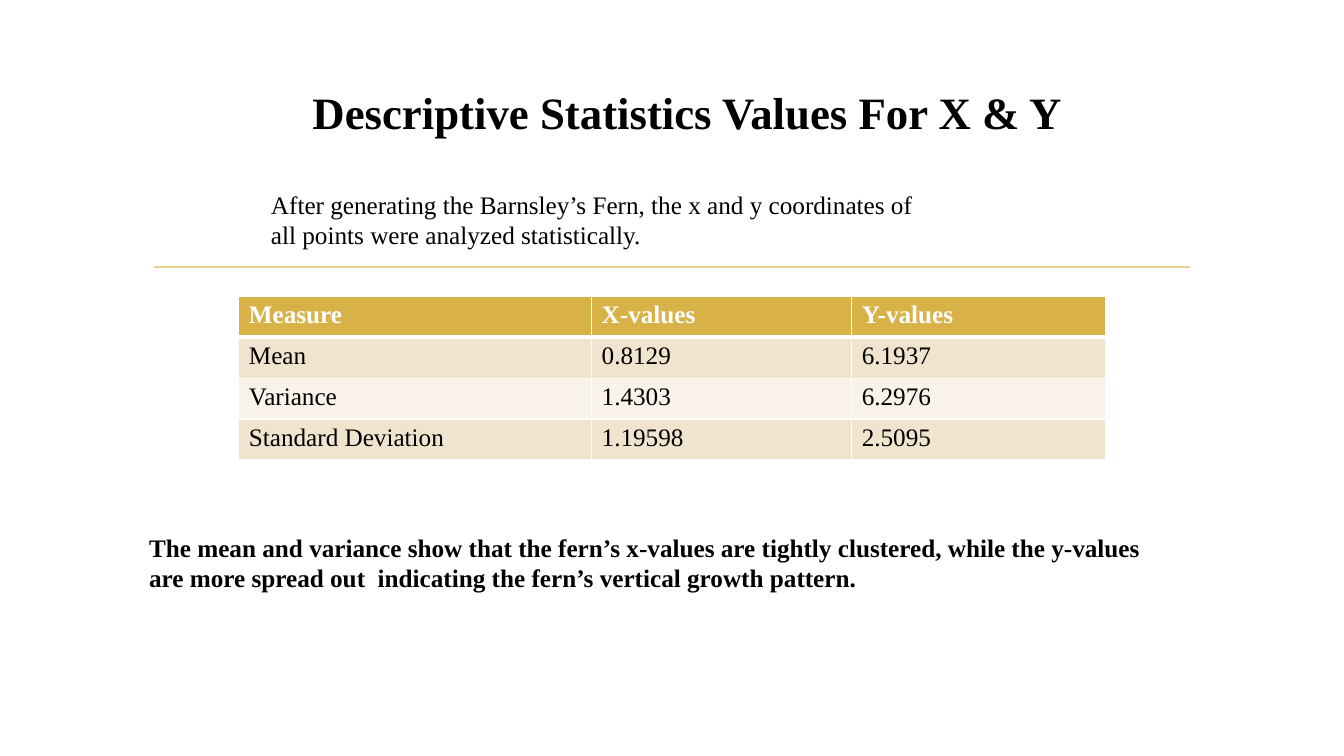
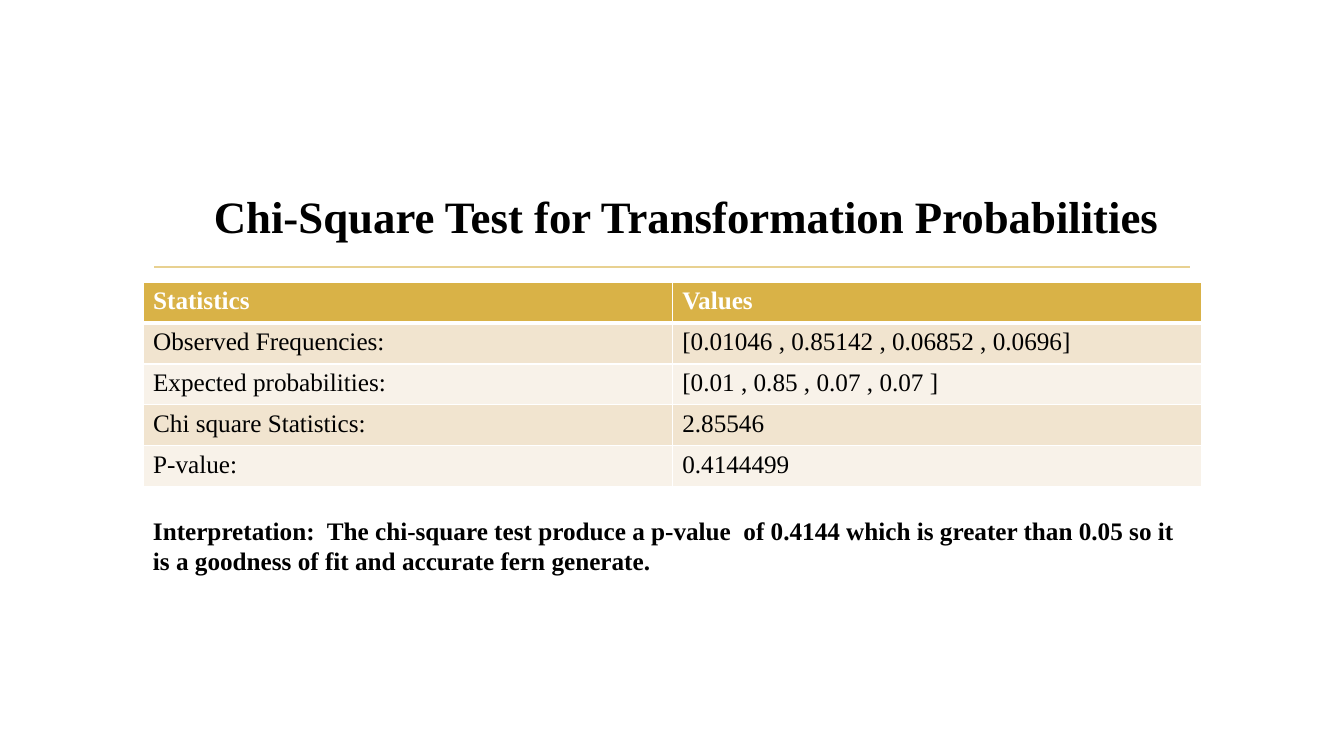
from lxml.etree import SubElement
from pptx import Presentation
from pptx.dml.color import RGBColor
from pptx.enum.shapes import MSO_CONNECTOR
from pptx.enum.text import MSO_ANCHOR, MSO_AUTO_SIZE, PP_ALIGN
from pptx.oxml.ns import qn
from pptx.util import Pt

BLACK = RGBColor(0x00, 0x00, 0x00)
WHITE = RGBColor(0xFF, 0xFF, 0xFF)
GOLD = RGBColor(0xD9, 0xB2, 0x47)
PALE_GOLD = RGBColor(0xE8, 0xD1, 0x91)
BANDS = (RGBColor(0xF1, 0xE4, 0xCF), RGBColor(0xF8, 0xF2, 0xE9))

SLIDE_WIDTH, SLIDE_HEIGHT = 960, 540
RULE_LEFT, RULE_RIGHT, RULE_TOP = 110.2, 850.3, 190.8
TITLE_HEIGHT = 46
ROW_HEIGHT = 29.2
TITLE_ONLY = 5


class Deck:
    """Holds the shared style and the slide being built."""

    title_font = {"name": "Times New Roman", "size": Pt(32), "bold": True}
    body_font = {"name": "Times New Roman", "size": Pt(18), "bold": False}

    def __init__(self):
        self.presentation = Presentation()
        self.presentation.slide_width = Pt(SLIDE_WIDTH)
        self.presentation.slide_height = Pt(SLIDE_HEIGHT)
        self.slide = None

    def set_text(self, text_frame, text, style, color=BLACK, **changes):
        text_frame.text = text
        paragraph = text_frame.paragraphs[0]
        paragraph.alignment = PP_ALIGN.LEFT
        for name, value in {**style, **changes}.items():
            setattr(paragraph.font, name, value)
        paragraph.font.color.rgb = color

    def fit(self, text_frame):
        layout = {
            "word_wrap": True,
            "auto_size": MSO_AUTO_SIZE.SHAPE_TO_FIT_TEXT,
            "vertical_anchor": MSO_ANCHOR.TOP,
        }
        for name, value in layout.items():
            setattr(text_frame, name, value)

    def add_slide(self, title, left, top, width):
        layout = self.presentation.slide_layouts[TITLE_ONLY]
        self.slide = self.presentation.slides.add_slide(layout)
        self.add_rule()
        shape = self.slide.shapes.title
        shape.left, shape.top = Pt(left), Pt(top)
        shape.width, shape.height = Pt(width), Pt(TITLE_HEIGHT)
        self.fit(shape.text_frame)
        self.set_text(shape.text_frame, title, self.title_font)

    def add_rule(self):
        rule = self.slide.shapes.add_connector(
            MSO_CONNECTOR.STRAIGHT,
            Pt(RULE_LEFT), Pt(RULE_TOP), Pt(RULE_RIGHT), Pt(RULE_TOP))
        rule.line.color.rgb = PALE_GOLD
        rule.line.width = Pt(1.25)
        SubElement(rule._element.spPr, qn("a:effectLst"))

    def add_text(self, text, left, top, width, height, bold=False):
        shape = self.slide.shapes.add_textbox(
            Pt(left), Pt(top), Pt(width), Pt(height))
        self.fit(shape.text_frame)
        self.set_text(shape.text_frame, text, self.body_font, bold=bold)

    def add_table(self, rows, left, top, column_widths):
        table = self.slide.shapes.add_table(
            len(rows), len(column_widths), Pt(left), Pt(top),
            Pt(sum(column_widths)), Pt(ROW_HEIGHT * len(rows))).table
        for column, width in zip(table.columns, column_widths):
            column.width = Pt(width)
        for row_index, values in enumerate(rows):
            table.rows[row_index].height = Pt(ROW_HEIGHT)
            header = row_index == 0
            for column_index, value in enumerate(values):
                cell = table.cell(row_index, column_index)
                self.add_borders(cell, top=3 if row_index == 1 else 1,
                                 bottom=3 if header else 1)
                cell.fill.solid()
                cell.fill.fore_color.rgb = (
                    GOLD if header else BANDS[(row_index - 1) % 2])
                self.set_text(cell.text_frame, value, self.body_font,
                              WHITE if header else BLACK, bold=header)

    def add_borders(self, cell, top, bottom):
        properties = cell._tc.get_or_add_tcPr()
        sides = {"lnL": 1, "lnR": 1, "lnT": top, "lnB": bottom}
        for side, width in sides.items():
            line = SubElement(properties, qn(f"a:{side}"), w=str(Pt(width)))
            fill = SubElement(line, qn("a:solidFill"))
            SubElement(fill, qn("a:srgbClr"), val=str(WHITE))


def main():
    deck = Deck()

    # Descriptive statistics
    deck.add_slide("Descriptive Statistics Values For X & Y", 216, 57, 551)
    deck.add_table([
        ("Measure", "X-values", "Y-values"),
        ("Mean", "0.8129", "6.1937"),
        ("Variance", "1.4303", "6.2976"),
        ("Standard Deviation", "1.19598", "2.5095"),
    ], 170.6, 211.7, (252, 185.8, 181.4))
    deck.add_text(
        "The mean and variance show that the fern’s x-values are tightly "
        "clustered, while the y-values are more spread out  indicating the "
        "fern’s vertical growth pattern.", 99.4, 376.6, 741.6, 51, bold=True)
    deck.add_text(
        "After generating the Barnsley’s Fern, the x and y coordinates of "
        "all points were analyzed statistically.", 186.5, 131.8, 479.5, 51)

    # Chi-square test
    deck.add_slide("Chi-Square Test for Transformation Probabilities",
                   145.5, 131, 703.5)
    deck.add_table([
        ("Statistics", "Values"),
        ("Observed Frequencies:", "[0.01046 , 0.85142 , 0.06852 , 0.0696]"),
        ("Expected probabilities:", "[0.01 , 0.85 , 0.07 , 0.07 ]"),
        ("Chi square Statistics:", "2.85546"),
        ("P-value:", "0.4144499"),
    ], 102.2, 201.6, (378, 378))
    deck.add_text(
        "Interpretation:  The chi-square test produce a p-value  of 0.4144 "
        "which is greater than 0.05 so it is a goodness of fit and accurate "
        "fern generate.", 102.2, 364.3, 747.4, 72.7, bold=True)

    deck.presentation.save("out.pptx")


if __name__ == "__main__":
    main()
